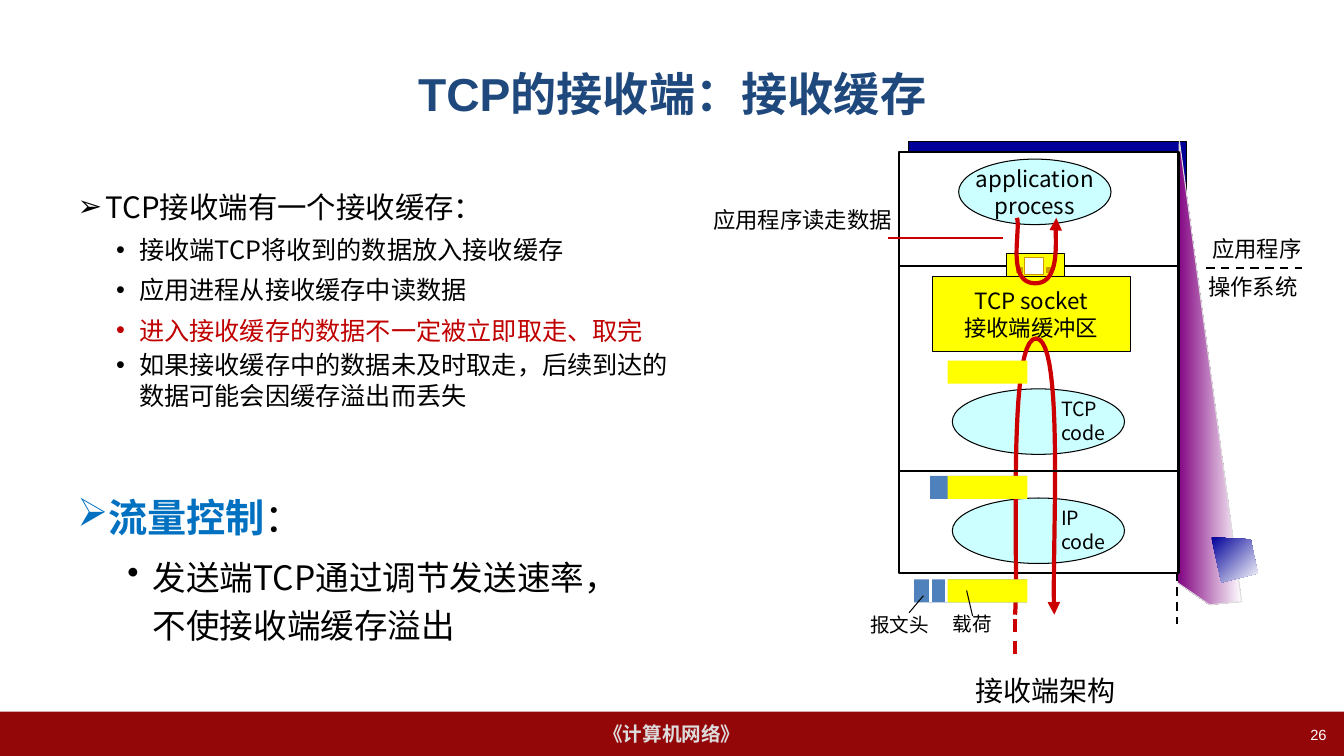
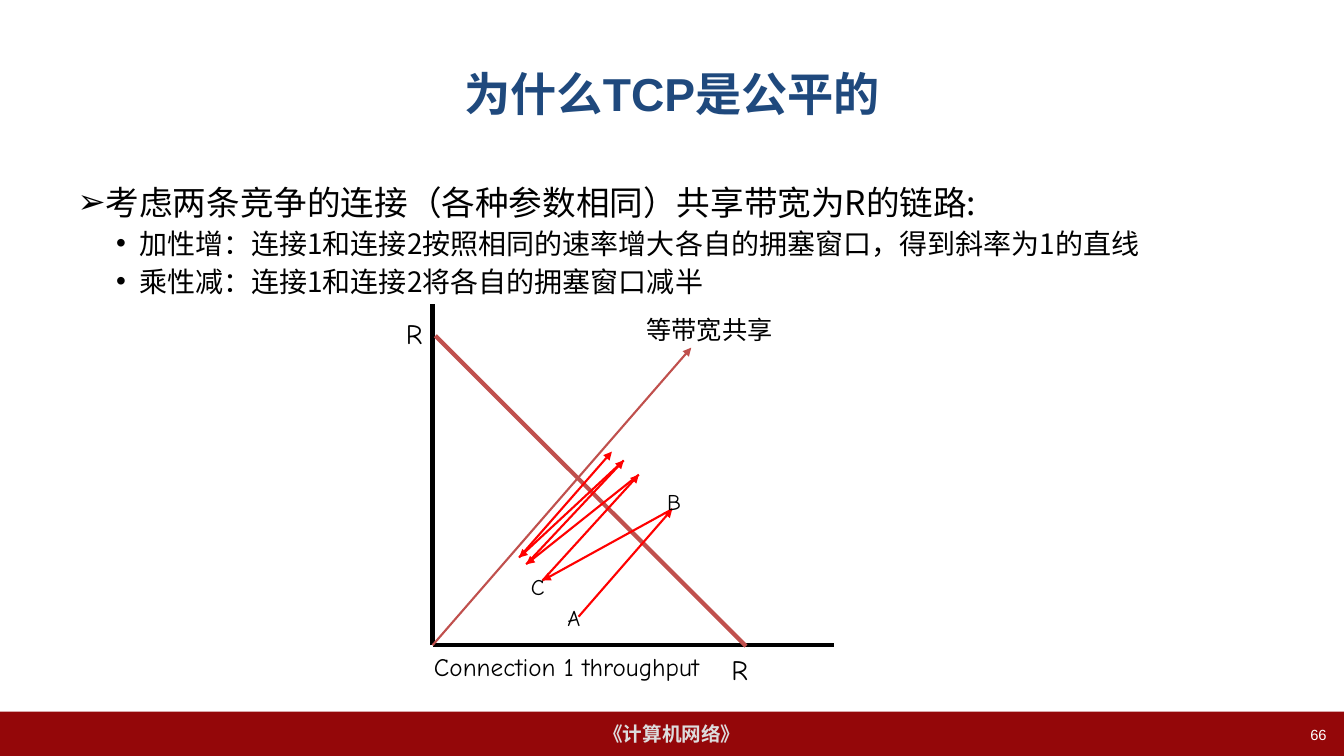
from itertools import pairwise

from lxml import etree
from pptx import Presentation
from pptx import util as u
from pptx.dml.color import RGBColor
from pptx.enum import dml, shapes, text
from pptx.oxml.ns import qn

BLACK = RGBColor(0x00, 0x00, 0x00)
WHITE = RGBColor(0xFF, 0xFF, 0xFF)
LIGHT_GREY = RGBColor(0xDD, 0xDD, 0xDD)
BAND_RED = RGBColor(0x94, 0x07, 0x09)
TITLE_BLUE = RGBColor(0x1F, 0x49, 0x7D)
KEY_BLUE = RGBColor(0x00, 0x70, 0xC0)
WARNING_RED = RGBColor(0xC0, 0x00, 0x00)
FLOW_RED = RGBColor(0xCC, 0x00, 0x00)
PLOT_RED = RGBColor(0xC0, 0x50, 0x4D)
STEP_RED = RGBColor(0xFF, 0x00, 0x00)
NAVY = RGBColor(0x00, 0x00, 0x99)
PURPLE = RGBColor(0x80, 0x00, 0x80)
CYAN = RGBColor(0xCC, 0xFF, 0xFF)
YELLOW = RGBColor(0xFF, 0xFF, 0x00)
OCHRE = RGBColor(0xCC, 0x99, 0x00)
HEADER_BLUE = RGBColor(0x4F, 0x81, 0xBD)

CJK = "Noto Sans CJK SC"
COMIC = "Comic Neue"
RECT = shapes.MSO_SHAPE.RECTANGLE
OVAL = shapes.MSO_SHAPE.OVAL
LEFT, CENTER, RIGHT = text.PP_ALIGN.LEFT, text.PP_ALIGN.CENTER, text.PP_ALIGN.RIGHT
BULLET_MARKS = ("➢", "•")
BODY_INDENTS = (0.71, 1.55)
BODY_HANGS = (0.71, 0.58)


def cm(*lengths):
    return [u.Cm(length) for length in lengths]


def add_span(para, words, font=CJK, size=16, color=BLACK, bold=False):
    span = para.add_run()
    span.text = words
    span.font.name, span.font.size, span.font.bold = font, u.Pt(size), bold
    span.font.color.rgb = color
    east_asian = etree.SubElement(span.font._element, qn("a:ea"))
    east_asian.set("typeface", CJK)


def write(frame, words, align=CENTER, wrap=False, anchor=text.MSO_ANCHOR.MIDDLE, **style):
    """Fill a text frame, one paragraph for each line of words."""
    frame.word_wrap, frame.vertical_anchor = wrap, anchor
    for number, line in enumerate(words.split("\n")):
        para = frame.add_paragraph() if number else frame.paragraphs[0]
        para.alignment = align
        add_span(para, line, **style)


def write_list(frame, items, indents=BODY_INDENTS, hangs=BODY_HANGS):
    """Fill a frame with items of (level, spacing, points before, spans)."""
    frame.word_wrap, frame.auto_size = True, text.MSO_AUTO_SIZE.NONE
    for number, (level, spacing, before, spans) in enumerate(items):
        para = frame.add_paragraph() if number else frame.paragraphs[0]
        para.level, para.alignment = level, LEFT
        para.line_spacing, para.space_before = spacing, u.Pt(before)
        for words, style in spans:
            add_span(para, words, **style)
        properties = para._p.get_or_add_pPr()
        properties.set("marL", str(u.Cm(indents[level])))
        properties.set("indent", str(-u.Cm(hangs[level])))
        etree.SubElement(properties, qn("a:buChar")).set("char", BULLET_MARKS[level])


def curve_points(start, *segments, steps=24):
    """Sample a chain of cubic curves, each given as two controls and an end."""
    points = [start]
    for first, second, end in segments:
        begin = points[-1]
        for step in range(1, steps + 1):
            t = step / steps
            weights = ((1 - t) ** 3, 3 * t * (1 - t) ** 2, 3 * t * t * (1 - t), t ** 3)
            corners = (begin, first, second, end)
            points.append(tuple(sum(w * corner[axis] for w, corner in zip(weights, corners))
                                for axis in (0, 1)))
    return points


def add_arrowhead(shape, end):
    line = shape.element.spPr.get_or_add_ln()
    etree.SubElement(line, qn(f"a:{end}End")).set("type", "triangle")


class Lecture:
    """The deck's style together with the page being drawn."""

    def __init__(self):
        self.deck = Presentation()
        self.deck.slide_width, self.deck.slide_height = cm(33.87, 19.05)
        self.layout = self.deck.slide_layouts[1]
        self.place(self.layout.placeholders[0], 1.7, 0.76, 30.48, 3.18)
        self.place(self.layout.placeholders[1], 1.7, 4.45, 30.48, 12.57)
        self.page = None

    def place(self, shape, *bounds):
        shape.left, shape.top, shape.width, shape.height = cm(*bounds)

    def new_page(self, title, number):
        self.page = self.deck.slides.add_slide(self.layout)
        if len(self.deck.slides) == 1:
            self.add_band()
        write(self.page.shapes.title.text_frame, title, wrap=True,
              font="Arial", size=33, color=TITLE_BLUE, bold=True)
        self.page.shapes.title.text_frame.auto_size = text.MSO_AUTO_SIZE.NONE
        self.label(number, 25.78, 18.16, 7.9, 0.89, align=RIGHT, wrap=True,
                   font="Arial", size=10.5, color=WHITE)
        return self.page.placeholders[1]

    def add_band(self):
        """Draw the footer band and move it to the shared layout."""
        band = self.box(0, 17.93, 33.87, 1.12, BAND_RED, None, words="《计算机网络》",
                        font="Arial", size=14, color=LIGHT_GREY, bold=True)
        band.element.nvSpPr.cNvPr.set("id", "20")
        self.layout.shapes.element.append(band.element)

    def outline(self, shape, color, width=0.75):
        shape.shadow.inherit = False
        if color is None:
            shape.line.fill.background()
        else:
            shape.line.color.rgb, shape.line.width = color, u.Pt(width)

    def box(self, left, top, width, height, fill, line=BLACK, kind=RECT, words="", **style):
        shape = self.page.shapes.add_shape(kind, *cm(left, top, width, height))
        shape.fill.solid()
        shape.fill.fore_color.rgb = fill
        self.outline(shape, line)
        if words:
            write(shape.text_frame, words, **style)
        return shape

    def label(self, words, left, top, width, height, **style):
        box = self.page.shapes.add_textbox(*cm(left, top, width, height))
        write(box.text_frame, words, anchor=text.MSO_ANCHOR.TOP, **style)
        box.text_frame.auto_size = text.MSO_AUTO_SIZE.SHAPE_TO_FIT_TEXT

    def line(self, start, end, color=BLACK, width=1.5, dashed=False, arrow=False):
        connector = self.page.shapes.add_connector(
            shapes.MSO_CONNECTOR.STRAIGHT, *cm(*start, *end))
        connector.line.color.rgb, connector.line.width = color, u.Pt(width)
        if dashed:
            connector.line.dash_style = dml.MSO_LINE.DASH
        if arrow:
            add_arrowhead(connector, "tail")
        etree.SubElement(connector.element.spPr, qn("a:effectLst"))

    def freeform(self, points, close):
        corners = [cm(*point) for point in points]
        builder = self.page.shapes.build_freeform(*corners[0])
        builder.add_line_segments(corners[1:], close=close)
        return builder.convert_to_shape()

    def curve(self, points, arrow_end):
        shape = self.freeform(points, close=False)
        shape.fill.background()
        self.outline(shape, FLOW_RED, 3)
        add_arrowhead(shape, arrow_end)

    def gradient(self, points, color, angle, line=None):
        shape = self.freeform(points, close=True)
        shape.fill.gradient()
        shape.fill.gradient_angle = angle
        for stop, stop_color, position in zip(shape.fill.gradient_stops, (color, WHITE), (0, 1)):
            stop.color.rgb, stop.position = stop_color, position
        self.outline(shape, line)


def draw_receiver(lecture):
    body = lecture.new_page("TCP的接收端：接收缓存", "26")
    lecture.place(body, 1.7, 4.45, 15.88, 12.57)
    points = (
        ("接收端TCP将收到的数据放入接收缓存", BLACK, 1.2),
        ("应用进程从接收缓存中读数据", BLACK, 1.2),
        ("进入接收缓存的数据不一定被立即取走、取完", WARNING_RED, 1.2),
        ("如果接收缓存中的数据未及时取走，后续到达的数据可能会因缓存溢出而丢失", BLACK, 1.0),
    )
    write_list(body.text_frame, [
        (0, 1.2, 10, [("TCP接收端有一个接收缓存：", {"size": 21})]),
        *[(1, spacing, 3, [(words, {"size": 18, "color": color})])
          for words, color, spacing in points]])
    control = lecture.page.shapes.add_textbox(*cm(1.7, 12.07, 14.6, 5.2))
    write_list(control.text_frame, [
        (0, 1.2, 6, [("流量控制", {"size": 28, "color": KEY_BLUE, "bold": True}),
                     ("：", {"size": 28})]),
        (1, 1.2, 6, [("发送端TCP通过调节发送速率，不使接收端缓存溢出", {"size": 24})]),
    ], indents=(0.64, 1.9), hangs=(0.64, 0.64))
    draw_stack(lecture)
    draw_packets(lecture)
    draw_stack_labels(lecture)


def draw_stack(lecture):
    lecture.box(22.89, 3.56, 7.01, 10.72, NAVY)
    lecture.gradient([(31.29, 15.16), (29.72, 3.53), (29.67, 14.68), (30.48, 15.24)],
                     PURPLE, 0, LIGHT_GREY)
    lecture.box(22.66, 3.84, 7.04, 10.59, WHITE).line.width = u.Pt(1.5)
    lecture.box(24.16, 4.01, 3.84, 1.65, CYAN, kind=OVAL, words="application\nprocess")
    lecture.box(23.5, 6.96, 4.98, 1.91, YELLOW, words="TCP socket\n接收端缓冲区")
    for protocol, top in (("TCP", 9.8), ("IP", 12.55)):
        lecture.box(24, top, 4.34, 1.65, CYAN, kind=OVAL)
        lecture.label(f"{protocol}\ncode", 26.49, top + 0.08, 1.68, 1.45, align=LEFT, size=14)
    lecture.curve(curve_points(
        (25.58, 15.49),
        ((25.68, 14.35), (25.37, 8.53), (26.11, 8.53)),
        ((26.85, 8.53), (26.49, 14.05), (26.57, 15.49))), "tail")
    for height in (11.86, 6.71):
        lecture.line((22.66, height), (29.7, height))
    lecture.box(25.37, 6.4, 1.47, 0.58, YELLOW)
    lecture.box(25.83, 6.48, 0.48, 0.43, WHITE, OCHRE)
    for left in (26.37, 25.63):
        lecture.box(left, 6.73, 0.13, 0.15, OCHRE, OCHRE)
    lecture.curve(curve_points(
        (26.62, 5.49),
        ((26.54, 5.74), (26.82, 7.14), (26.09, 7.14)),
        ((25.35, 7.14), (25.73, 5.82), (25.63, 5.49))), "head")


def draw_packets(lecture):
    """Draw the payload at each layer, with the headers still on it."""
    lecture.box(23.04, 14.6, 2.84, 0.58, HEADER_BLUE, None)
    for left in (23.44, 23.85):
        lecture.line((left, 14.6), (left, 15.18), WHITE, 2.25)
    lecture.box(23.44, 11.99, 2.44, 0.58, HEADER_BLUE, None)
    for top in (9.09, 11.99, 14.6):
        lecture.box(23.88, top, 2.01, 0.58, YELLOW, None)


def draw_stack_labels(lecture):
    lecture.label("应用程序", 30.28, 5.79, 2.79, 0.94)
    lecture.label("操作系统", 30.18, 6.76, 2.79, 0.94)
    lecture.line((30.4, 6.76), (32.82, 6.76), dashed=True)
    lecture.label("接收端架构", 24.33, 16.84, 4.06, 1.12, size=20)
    lecture.label("应用程序读走数据", 17.42, 5.08, 5.31, 0.94, align=RIGHT, wrap=True)
    lecture.line((22.38, 5.99), (25.27, 5.99), FLOW_RED)
    lecture.line((25.58, 15.6), (25.58, 16.56), FLOW_RED, 2.25, dashed=True)
    lecture.label("报文头", 21.67, 15.32, 2.01, 0.86, size=14)
    lecture.line((29.67, 14.43), (29.67, 15.72), dashed=True)
    lecture.gradient([(30.53, 13.54), (31.52, 13.59), (31.7, 14.45), (30.78, 14.68)], NAVY, 315)
    lecture.line((22.91, 15.44), (23.27, 15.01), width=0.75)
    lecture.line((24.51, 15.52), (24.36, 14.88), width=0.75)
    lecture.label("载荷", 23.75, 15.29, 1.5, 0.86, size=14)


def draw_fairness(lecture):
    body = lecture.new_page("为什么TCP是公平的", "66")
    points = ("加性增：连接1和连接2按照相同的速率增大各自的拥塞窗口，得到斜率为1的直线",
              "乘性减：连接1和连接2将各自的拥塞窗口减半")
    write_list(body.text_frame, [
        (0, 1.0, 12, [("考虑两条竞争的连接（各种参数相同）共享带宽为R的链路:", {"size": 24})]),
        *[(1, 1.0, 3, [(words, {"size": 20})]) for words in points]])
    origin = (10.9, 16.26)
    for axis_end in ((21.01, 16.26), (10.9, 7.65)):
        lecture.line(origin, axis_end, width=3)
    lecture.line(origin, (17.42, 8.76), PLOT_RED, arrow=True)
    lecture.line((10.97, 8.46), (18.8, 16.28), PLOT_RED, 3)
    for words, left, top, width, size in (
            ("R", 9.88, 7.85, 1.12, 20),
            ("R", 18.08, 16.33, 1.12, 20),
            ("等带宽共享", 14.02, 7.8, 7.72, 18),
            ("Connection 1 throughput", 9.35, 16.28, 9.86, 18)):
        lecture.label(words, left, top, width, 1.02, font=COMIC, size=size)
    window_steps = ((14.58, 15.54), (16.94, 12.83), (13.67, 14.63), (16.1, 11.96),
                    (13.26, 14.22), (15.72, 11.6), (13.08, 14.05), (15.42, 11.38))
    for start, end in pairwise(window_steps):
        lecture.line(start, end, STEP_RED, arrow=True)
    for name, left, top in (("A", 14.05, 15.11), ("B", 16.56, 12.17), ("C", 13.13, 14.33)):
        lecture.label(name, left, top, 0.76, 0.94, font=COMIC)


def main():
    lecture = Lecture()
    draw_receiver(lecture)
    draw_fairness(lecture)
    lecture.deck.save("out.pptx")


if __name__ == "__main__":
    main()
